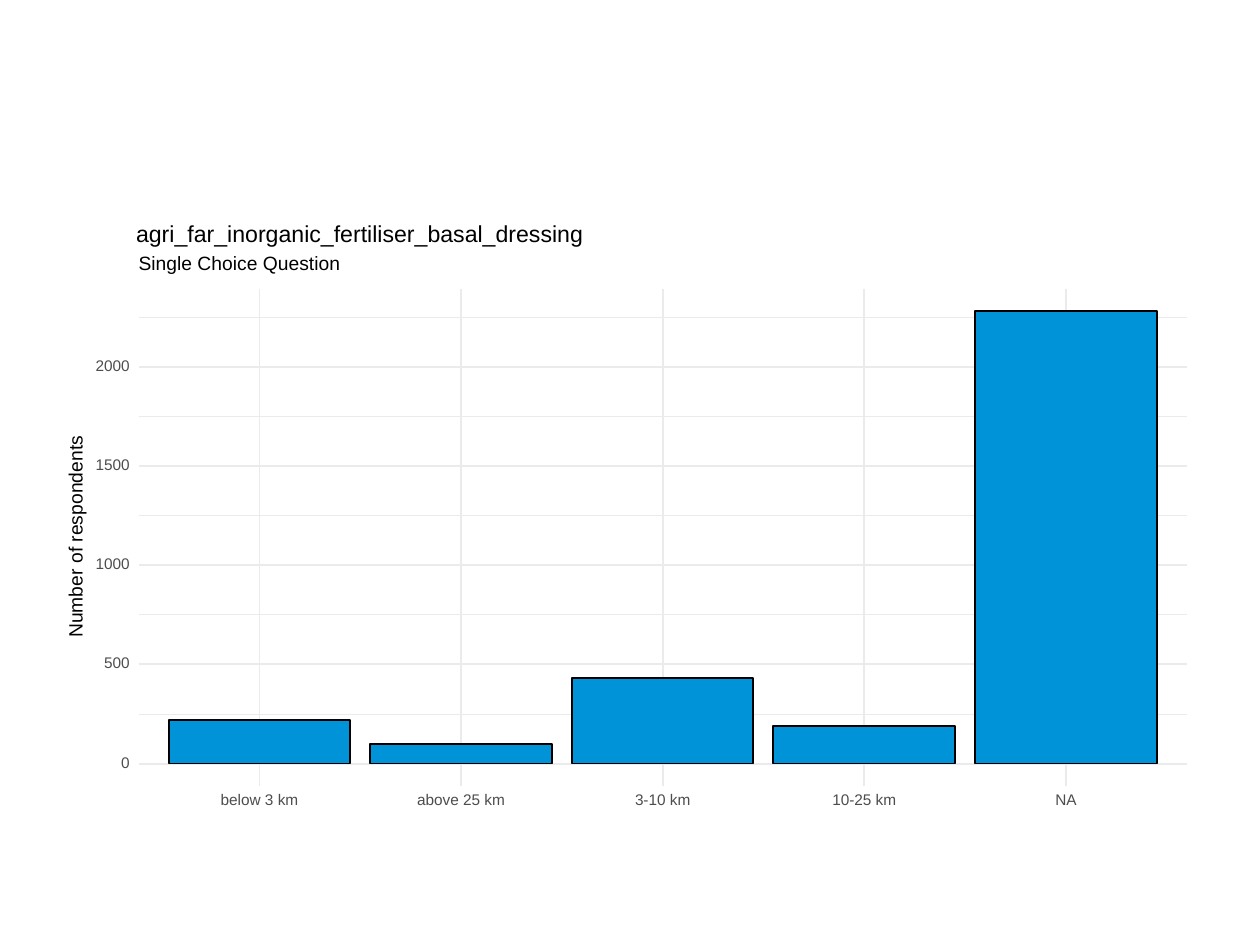
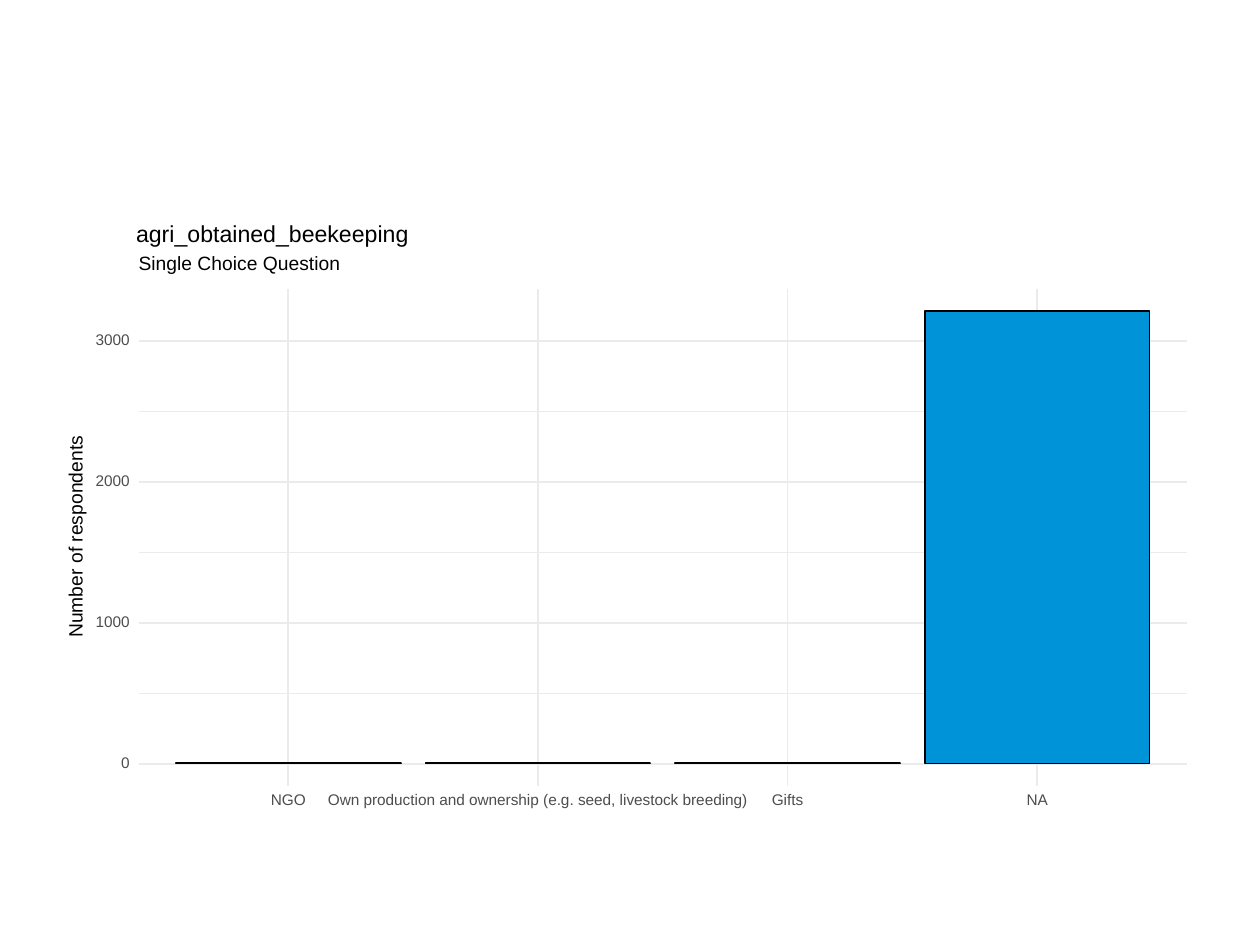
from lxml import etree
from pptx import Presentation
from pptx import util as u
from pptx.chart.data import CategoryChartData
from pptx.dml.color import RGBColor
from pptx.enum import chart as charts, shapes, text
from pptx.oxml import parse_xml
from pptx.oxml.ns import nsdecls, qn

COLORS = {"bar": "0093D8", "outline": "000000", "grid": "EBEBEB", "tick": "4D4D4D", "text": "000000"}
FONT = "Arial"
LEFT, RIGHT, TOP, BOTTOM = 1.1, 9.42, 2.29, 6.24
FRAME_LEFT, FRAME_TOP, FRAME_WIDTH, FRAME_HEIGHT = 0.5, 1.75, 9, 4.95
EDGE = 0.1
EXPANSION = 0.05
ALIGN = text.PP_ALIGN

questions = [
    {
        "title": "agri_far_inorganic_fertiliser_basal_dressing",
        "step": 500,
        "counts": {"below 3 km": 220, "above 25 km": 100, "3-10 km": 430, "10-25 km": 190, "NA": 2280},
    },
    {
        "title": "agri_obtained_beekeeping",
        "step": 1000,
        "counts": {
            "NGO": 2,
            "Own production and ownership (e.g. seed, livestock breeding)": 1,
            "Gifts": 2,
            "NA": 3210,
        },
    },
]


def write(box, wording, left, middle, width, size, color, align):
    height = size / 72
    places = {"left": left, "top": middle - height / 2, "width": width, "height": height}
    for side, inches in places.items():
        setattr(box, side, u.Inches(inches))
    frame = box.text_frame
    frame.text = wording
    settings = {
        "margin_left": 0, "margin_right": 0, "margin_top": 0, "margin_bottom": 0,
        "word_wrap": True, "auto_size": text.MSO_AUTO_SIZE.NONE,
        "vertical_anchor": text.MSO_ANCHOR.MIDDLE,
    }
    for key, value in settings.items():
        setattr(frame, key, value)
    line = frame.paragraphs[0]
    line.alignment = align
    line.line_spacing = u.Pt(size)
    font = line.runs[0].font
    font.name, font.size = FONT, u.Pt(size)
    font.color.rgb = RGBColor.from_string(COLORS[color])


def gridline(slide, x1, y1, x2, y2, weight):
    line = slide.shapes.add_connector(
        shapes.MSO_CONNECTOR.STRAIGHT, *(u.Inches(v) for v in (x1, y1, x2, y2)))
    line.line.color.rgb = RGBColor.from_string(COLORS["grid"])
    line.line.width = u.Pt(weight)
    etree.SubElement(line._element.spPr, qn("a:effectLst"))


prs = Presentation()
prs.slide_width, prs.slide_height = u.Inches(10), u.Inches(7.5)

for question in questions:
    slide = prs.slides.add_slide(prs.slide_layouts[5])
    counts, step = question["counts"], question["step"]
    peak = max(counts.values())
    lowest, highest = round(-EXPANSION * peak), round((1 + EXPANSION) * peak)
    per_count = (BOTTOM - TOP) / (highest - lowest)
    column = (RIGHT - LEFT) / (len(counts) + 2 * EDGE)
    first_column = LEFT + EDGE * column
    centers = [first_column + (i + 0.5) * column for i in range(len(counts))]

    write(slide.shapes.title, question["title"], 1.08, 1.87, 8, 13.2, "text", ALIGN.LEFT)
    write(slide.shapes.add_textbox(0, 0, 0, 0), "Single Choice Question",
          LEFT, 2.1, 4, 11, "text", ALIGN.LEFT)

    for count in range(0, highest + 1, step // 2):
        y = BOTTOM - (count - lowest) * per_count
        major = count % step == 0
        gridline(slide, LEFT, y, RIGHT, y, 1.07 if major else 0.53)
        if major:
            write(slide.shapes.add_textbox(0, 0, 0, 0), str(count),
                  0.53, y, 0.5, 8.8, "tick", ALIGN.RIGHT)
    for center, answer in zip(centers, counts):
        gridline(slide, center, BOTTOM, center, TOP, 1.07)
        width = 3.8 if len(answer) > 20 else 1
        write(slide.shapes.add_textbox(0, 0, 0, 0), answer,
              center - width / 2, 6.36, width, 8.8, "tick", ALIGN.CENTER)

    axis_title = slide.shapes.add_textbox(0, 0, 0, 0)
    write(axis_title, "Number of respondents", -0.39, 4.26, 2, 11, "text", ALIGN.CENTER)
    axis_title.rotation = 270

    data = CategoryChartData()
    data.categories = list(counts)
    data.add_series("Number of respondents", list(counts.values()))
    chart = slide.shapes.add_chart(
        charts.XL_CHART_TYPE.COLUMN_CLUSTERED,
        *(u.Inches(v) for v in (FRAME_LEFT, FRAME_TOP, FRAME_WIDTH, FRAME_HEIGHT)), data).chart
    chart.has_legend = chart.has_title = False
    chart.font.name, chart.font.size = FONT, u.Pt(8.8)
    chart.font.color.rgb = RGBColor.from_string(COLORS["tick"])
    chart.category_axis.visible = False
    value_format = {
        "visible": False, "has_major_gridlines": False, "major_unit": step,
        "minimum_scale": lowest, "maximum_scale": highest,
    }
    for key, value in value_format.items():
        setattr(chart.value_axis, key, value)
    plot = chart.plots[0]
    plot.gap_width, plot.vary_by_categories = 11, False
    bars = plot.series[0]
    bars.invert_if_negative = False
    bars.format.fill.solid()
    bars.format.fill.fore_color.rgb = RGBColor.from_string(COLORS["bar"])
    bars.format.line.color.rgb = RGBColor.from_string(COLORS["outline"])
    bars.format.line.width = u.Pt(1.07)

    area = chart._chartSpace.chart.plotArea
    for old in area.findall(qn("c:layout")):
        area.remove(old)
    shares = {
        "x": (first_column - FRAME_LEFT) / FRAME_WIDTH,
        "y": (TOP - FRAME_TOP) / FRAME_HEIGHT,
        "w": column * len(counts) / FRAME_WIDTH,
        "h": (BOTTOM - TOP) / FRAME_HEIGHT,
    }
    places = "".join(f'<c:{key} val="{share:.4f}"/>' for key, share in shares.items())
    area.insert(0, parse_xml(
        f'<c:layout {nsdecls("c")}><c:manualLayout><c:layoutTarget val="inner"/>'
        f'<c:xMode val="edge"/><c:yMode val="edge"/>{places}</c:manualLayout></c:layout>'))
    clear = f'<c:spPr {nsdecls("c", "a")}><a:noFill/><a:ln><a:noFill/></a:ln></c:spPr>'
    area.append(parse_xml(clear))
    chart._chartSpace.chart.addnext(parse_xml(clear))

prs.save("out.pptx")
